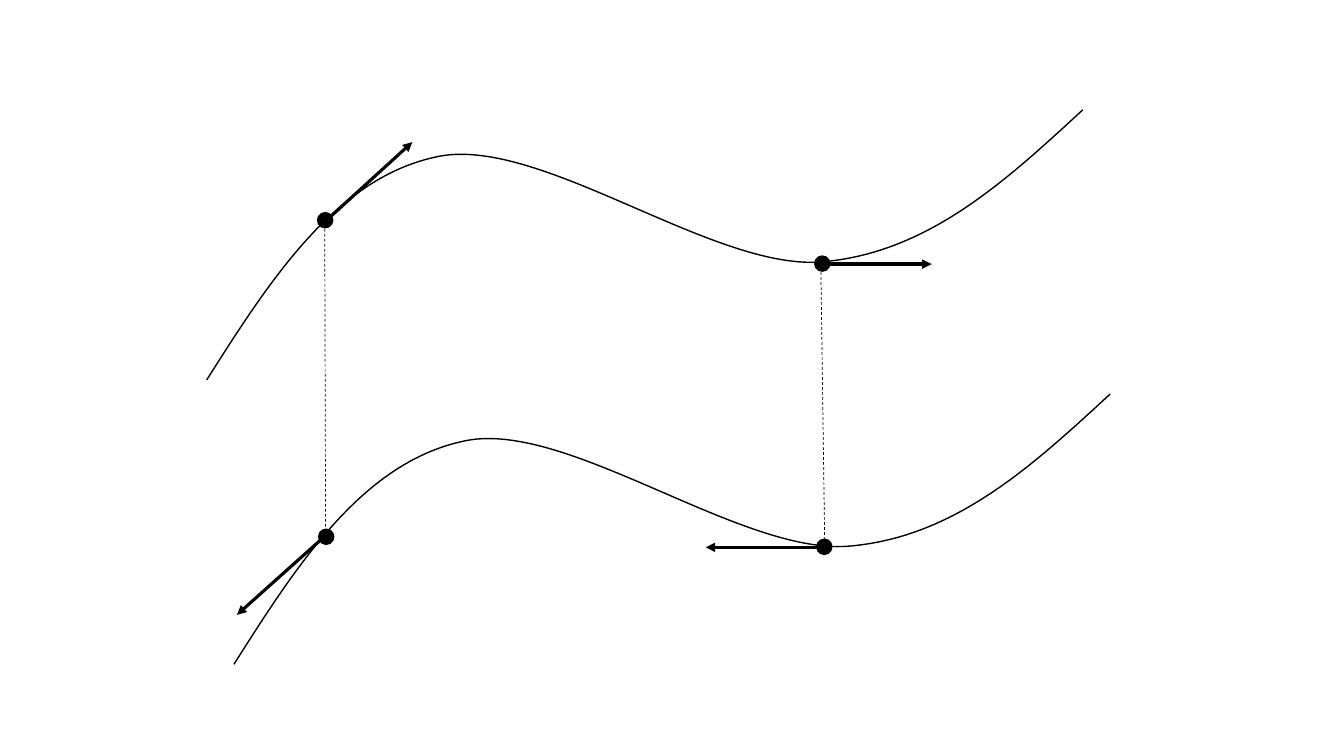
from lxml import etree
from pptx import Presentation
from pptx.dml.color import RGBColor
from pptx.enum.dml import MSO_LINE
from pptx.enum.shapes import MSO_CONNECTOR, MSO_SHAPE
from pptx.oxml.ns import qn
from pptx.util import Inches, Pt

DASH = MSO_LINE.DASH
STRAIGHT = MSO_CONNECTOR.STRAIGHT
OVAL = MSO_SHAPE.OVAL

UPPER_CURVE = [
    (15.38, 50.27),
    (20.18, 36.8), (25.06, 23.33), (32.71, 20.67),
    (40.28, 18.13), (52.96, 35.6), (60.99, 34.67),
    (68.94, 33.6), (74.72, 24.13), (80.57, 14.53),
]
LOWER_OFFSET = (2.03, 37.6)
TANGENTS = [
    ((24.01, 29.6), (30.68, 18.8)),
    ((24.08, 71.07), (17.63, 81.33)),
    ((60.91, 34.93), (69.32, 34.93)),
    ((60.91, 72.4), (52.51, 72.4)),
]
CURVE_POINTS = [(61.18, 34.87), (24.19, 29.13), (61.33, 72.33), (24.27, 71)]
CORRESPONDENCES = [
    ((24.16, 30.27), (24.23, 70.27)),
    ((61.07, 34.67), (61.37, 72.53)),
]


def color(hex_value):
    return RGBColor.from_string(hex_value)


class Diagram:
    ink = "000000"
    thin, regular, thick = 0.5, 1, 2.25
    dot_size = Inches(0.15)

    def __init__(self, deck):
        self.width, self.height = deck.slide_width, deck.slide_height
        self.slide = deck.slides.add_slide(deck.slide_layouts[6])

    def place(self, point):
        x, y = point
        return round(self.width * x / 100), round(self.height * y / 100)

    def stroke(self, element, weight):
        element.line.color.rgb = color(self.ink)
        element.line.width = Pt(weight)

    def curve(self, knots, offset=(0, 0)):
        start, *controls = [
            self.place((x + offset[0], y + offset[1])) for x, y in knots
        ]
        builder = self.slide.shapes.build_freeform(*start)
        builder.add_line_segments(controls, close=False)
        outline = builder.convert_to_shape()
        segments = list(outline._element.iter(qn("a:lnTo")))
        for first in range(0, len(segments), 3):
            bezier = etree.SubElement(segments[first].getparent(), qn("a:cubicBezTo"))
            for segment in segments[first:first + 3]:
                bezier.append(segment[0])
                segment.getparent().remove(segment)
        outline.fill.background()
        outline.shadow.inherit = False
        self.stroke(outline, self.regular)

    def line(self, start, end, weight):
        link = self.slide.shapes.add_connector(
            STRAIGHT, *self.place(start), *self.place(end)
        )
        self.stroke(link, weight)
        etree.SubElement(link._element.spPr, qn("a:effectLst"))
        return link

    def arrow(self, start, end):
        link = self.line(start, end, self.thick)
        etree.SubElement(link.line._get_or_add_ln(), qn("a:tailEnd"), type="triangle")

    def dashed(self, start, end):
        self.line(start, end, self.thin).line.dash_style = DASH

    def dot(self, center):
        x, y = self.place(center)
        radius = self.dot_size // 2
        marker = self.slide.shapes.add_shape(
            OVAL, x - radius, y - radius, self.dot_size, self.dot_size
        )
        marker.fill.solid()
        marker.fill.fore_color.rgb = color(self.ink)
        marker.shadow.inherit = False
        self.stroke(marker, self.regular)


def main():
    deck = Presentation()
    deck.slide_width, deck.slide_height = Inches(13.33), Inches(7.5)
    diagram = Diagram(deck)
    diagram.curve(UPPER_CURVE)
    diagram.curve(UPPER_CURVE, LOWER_OFFSET)
    for start, end in TANGENTS:
        diagram.arrow(start, end)
    for center in CURVE_POINTS:
        diagram.dot(center)
    for start, end in CORRESPONDENCES:
        diagram.dashed(start, end)
    deck.save("out.pptx")


if __name__ == "__main__":
    main()
